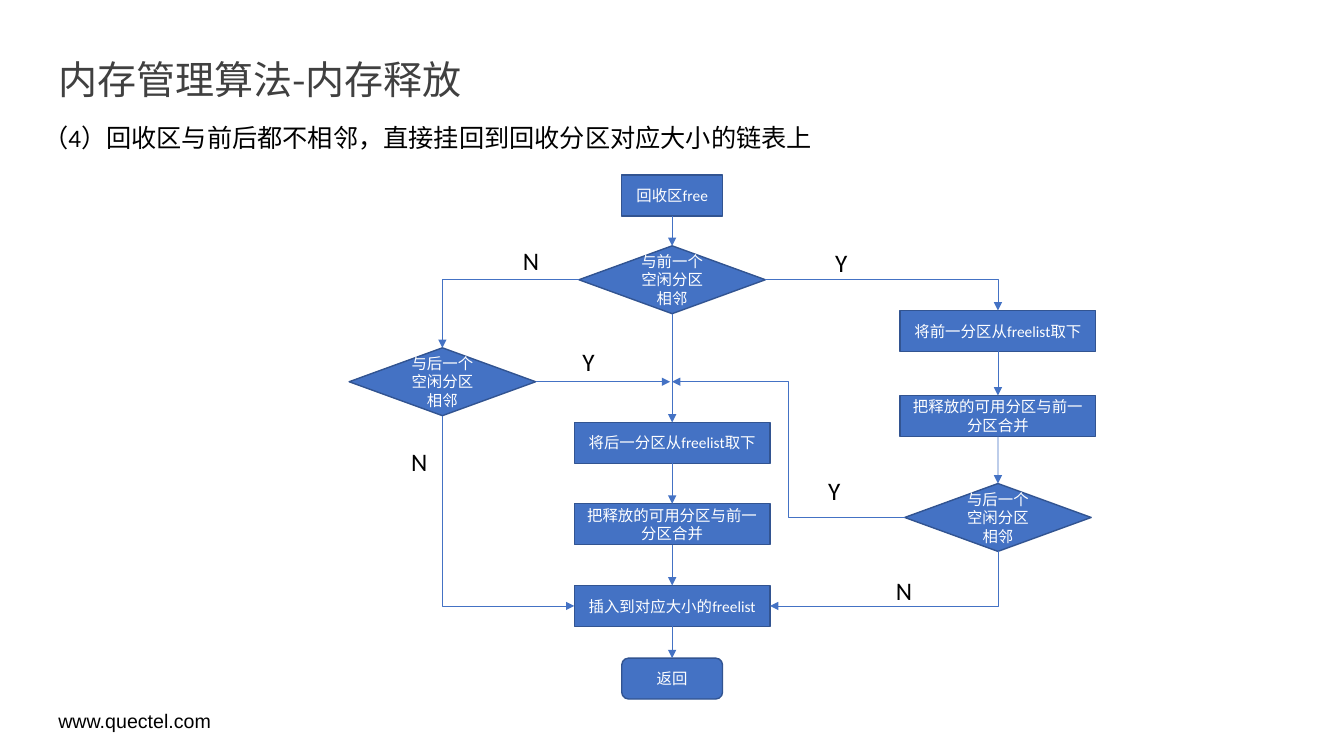
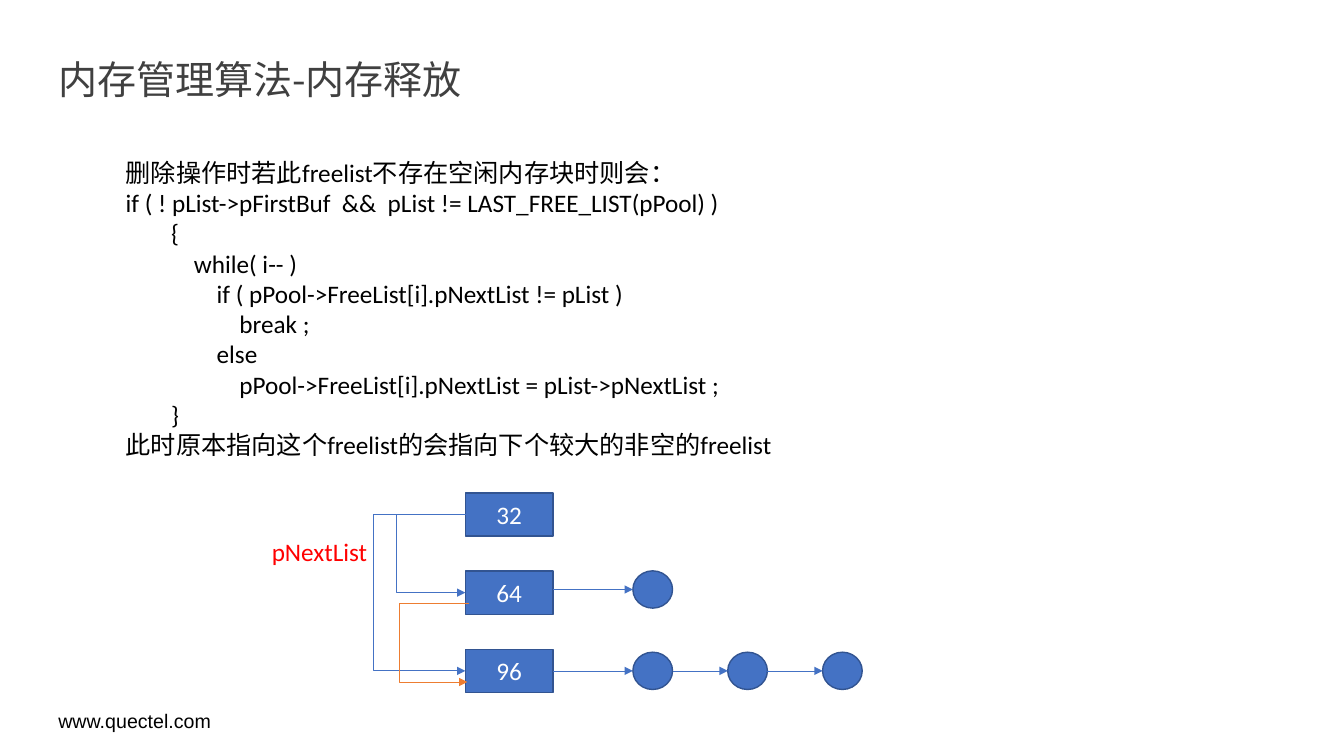
from collections import namedtuple
from dataclasses import dataclass

from lxml import etree
from pptx import Presentation
from pptx import util as u
from pptx.dml.color import RGBColor
from pptx.enum import shapes, text
from pptx.oxml.ns import qn

Cm, Pt = u.Cm, u.Pt
GEO, LINK = shapes.MSO_SHAPE, shapes.MSO_CONNECTOR
ANCHOR, ALIGN = text.MSO_ANCHOR, text.PP_ALIGN
TOP, LEFT, BOTTOM, RIGHT = range(4)  # connection sites of boxes and diamonds
Box = namedtuple("Box", "x y w h")  # centimetres


@dataclass(frozen=True)
class Theme:
    black: str = "000000"
    white: str = "FFFFFF"
    grey: str = "404040"
    red: str = "FF0000"
    blue: str = "4472C4"
    edge: str = "325491"
    orange: str = "ED7D31"
    body_font: str = "Calibri"
    title_font: str = "Noto Sans CJK SC"
    footer_font: str = "Arial"
    title: float = 27.9
    body: float = 18
    footer: float = 14
    small: float = 11
    outline: float = 1
    wire: float = 0.5


T = Theme()
TITLE = "内存管理算法-内存释放"
FOOTER = "www.quectel.com"
TITLE_BOX = Box(1.22, 1.4, 30.73, 1.24)
FOOTER_BOX = Box(1.22, 17.8, 30.73, 0.8)


# ---- basic parts ----
def place(box):
    return [Cm(v) for v in box]


def write(tf, lines, size=T.body, color=T.black, name=T.body_font, **para):
    """Fill a text frame, one paragraph for each line."""
    for i, line in enumerate(lines.split("\n")):
        p = tf.paragraphs[0] if i == 0 else tf.add_paragraph()
        for key, value in para.items():
            setattr(p, key, value)
        r = p.add_run()
        r.text = line
        for key, value in {"size": Pt(size), "name": name}.items():
            setattr(r.font, key, value)
        r.font.color.rgb = RGBColor.from_string(color)


def add_text(s, box, lines, wrap=True, **fmt):
    sp = s.shapes.add_textbox(*place(box))
    sp.text_frame.word_wrap = wrap
    write(sp.text_frame, lines, **fmt)
    return sp


def add_node(s, kind, box, label="", size=T.small):
    sp = s.shapes.add_shape(kind, *place(box))
    sp.shadow.inherit = False
    sp.fill.solid()
    sp.fill.fore_color.rgb = RGBColor.from_string(T.blue)
    sp.line.color.rgb = RGBColor.from_string(T.edge)
    sp.line.width = Pt(T.outline)
    if label:
        sp.text_frame.word_wrap = True
        sp.text_frame.vertical_anchor = ANCHOR.MIDDLE
        write(sp.text_frame, label, size, T.white, alignment=ALIGN.CENTER)
    return sp


def add_arrow(s, start, end, kind=LINK.STRAIGHT, color=T.blue, arrow="tailEnd"):
    """Arrow between two (x, y) points given as lengths."""
    cx = s.shapes.add_connector(kind, *start, *end)
    cx.line.color.rgb = RGBColor.from_string(color)
    cx.line.width = Pt(T.wire)
    pr = cx.element.spPr
    etree.SubElement(pr.find(qn("a:ln")), qn("a:" + arrow), type="triangle")
    etree.SubElement(pr, qn("a:effectLst"))
    return cx


def site(sp, side):
    """Point in the middle of one side of a shape."""
    mid_x, mid_y = sp.left + sp.width // 2, sp.top + sp.height // 2
    return {TOP: (mid_x, sp.top), LEFT: (sp.left, mid_y),
            BOTTOM: (mid_x, sp.top + sp.height),
            RIGHT: (sp.left + sp.width, mid_y)}[side]


def link(s, a, side_a, b, side_b, **fmt):
    cx = add_arrow(s, site(a, side_a), site(b, side_b), **fmt)
    cx.begin_connect(a, side_a)
    cx.end_connect(b, side_b)
    return cx


def corner(s, a, side_a, b, side_b, arrow="tailEnd"):
    """One-bend arrow that leaves a sideways and meets b vertically."""
    cx = link(s, a, side_a, b, side_b, kind=LINK.ELBOW, arrow=arrow)
    cx.element.spPr.find(qn("a:prstGeom")).set("prst", "bentConnector2")


def bracket(s, start, end, bend_x, **fmt):
    """Two-bend arrow whose vertical part stands at bend_x."""
    cx = add_arrow(s, start, end, LINK.ELBOW, **fmt)
    geom = cx.element.spPr.find(qn("a:prstGeom"))
    for old in geom.findall(qn("a:avLst")):
        geom.remove(old)
    ratio = round((start[0] - bend_x) / (start[0] - end[0]) * 100000)
    guides = etree.SubElement(geom, qn("a:avLst"))
    etree.SubElement(guides, qn("a:gd"), name="adj1", fmla=f"val {ratio}")


# ---- shared slide frame ----
def set_up_layout(prs, layout):
    """Title place and footer that all slides share."""
    title = layout.placeholders[0]
    for key, value in zip(("left", "top", "width", "height"), place(TITLE_BOX)):
        setattr(title, key, value)
    s = prs.slides.add_slide(layout)
    footer = add_text(s, FOOTER_BOX, FOOTER, size=T.footer,
                      name=T.footer_font, line_spacing=0.9)
    footer.text_frame.vertical_anchor = ANCHOR.MIDDLE
    layout.shapes.element.append(footer.element)
    return s


def add_title(s):
    tf = s.shapes.title.text_frame
    for key, value in {"vertical_anchor": ANCHOR.TOP, "word_wrap": True,
                       "auto_size": text.MSO_AUTO_SIZE.NONE}.items():
        setattr(tf, key, value)
    write(tf, TITLE, T.title, T.grey, T.title_font,
          alignment=ALIGN.LEFT, line_spacing=0.9)


# ---- flow chart of releasing memory ----
FLOW_SIZES = {"small": (GEO.RECTANGLE, 2.54, 1.03),
              "wide": (GEO.RECTANGLE, 4.93, 1.03),
              "test": (GEO.FLOWCHART_DECISION, 4.7, 1.71),
              "end": (GEO.ROUNDED_RECTANGLE, 2.54, 1.03)}
FLOW_COLUMNS = {"left": 2.36, "mid": 8.15, "right": 16.36}
FLOW_NODES = {  # name: size, column, centre height, label
    "free": ("small", "mid", 0.51, "回收区free"),
    "prev?": ("test", "mid", 2.63, "与前一个空闲分区相邻"),
    "next?": ("test", "left", 5.2, "与后一个空闲分区相邻"),
    "take next": ("wide", "mid", 6.74, "将后一分区从freelist取下"),
    "merge next": ("wide", "mid", 8.79, "把释放的可用分区与前一分区合并"),
    "insert": ("wide", "mid", 10.85, "插入到对应大小的freelist"),
    "return": ("end", "mid", 12.68, "返回"),
    "take prev": ("wide", "right", 3.92, "将前一分区从freelist取下"),
    "merge prev": ("wide", "right", 6.06, "把释放的可用分区与前一分区合并"),
    "both?": ("test", "right", 8.62, "与后一个空闲分区相邻"),
}
FLOW_CHAINS = (("free", "prev?", "take next", "merge next", "insert", "return"),
               ("take prev", "merge prev", "both?"))
FLOW_ANSWERS = (("Y", 12.01, 1.68), ("N", 4.14, 1.63), ("N", 1.32, 6.71),
                ("Y", 5.64, 4.17), ("Y", 11.83, 7.44), ("N", 13.54, 9.96))


def flow_chart(s, box):
    n = {}
    for name, (size, column, mid_y, label) in FLOW_NODES.items():
        kind, w, h = FLOW_SIZES[size]
        x = box.x + FLOW_COLUMNS[column] - w / 2
        n[name] = add_node(s, kind, Box(x, box.y + mid_y - h / 2, w, h), label)

    # Straight steps
    for chain in FLOW_CHAINS:
        for a, b in zip(chain, chain[1:]):
            link(s, n[a], BOTTOM, n[b], TOP)

    # Branches
    corner(s, n["prev?"], RIGHT, n["take prev"], TOP)
    corner(s, n["prev?"], LEFT, n["next?"], TOP)
    corner(s, n["insert"], LEFT, n["next?"], BOTTOM, "headEnd")
    corner(s, n["insert"], RIGHT, n["both?"], BOTTOM, "headEnd")

    # Both "yes" branches join the middle column
    join_x, join_y = site(n["prev?"], TOP)[0], site(n["next?"], RIGHT)[1]
    for name, side, kind, gap in (("next?", RIGHT, LINK.STRAIGHT, Cm(0.05)),
                                  ("both?", LEFT, LINK.ELBOW, 0)):
        cx = add_arrow(s, site(n[name], side), (join_x - gap, join_y), kind)
        cx.begin_connect(n[name], side)

    for answer, x, y in FLOW_ANSWERS:
        add_text(s, Box(box.x + x, box.y + y, 1.12, 1.03), answer)


# ---- free lists and their pointers ----
def free_lists(s, box):
    w, h, pitch, list_x = 2.21, 1.09, 1.97, 5.13
    node_w, node_h, node_x, step = 1.0, 0.94, 9.35, 2.39
    rows = (("32", 0, 0), ("64", 1, -0.08), ("96", 3, 0))

    # Lists, each followed by its chain of free blocks
    for i, (label, blocks, shift) in enumerate(rows):
        top = box.y + i * pitch
        add_node(s, GEO.RECTANGLE, Box(box.x + list_x, top, w, h), label, T.body)
        mid = top + h / 2 + shift
        tail = box.x + list_x + w
        for k in range(blocks):
            x = box.x + node_x + k * step
            add_node(s, GEO.OVAL, Box(x, mid - node_h / 2, node_w, node_h))
            add_arrow(s, (Cm(tail), Cm(mid)), (Cm(x), Cm(mid)))
            tail = x + node_w

    # Pointers: start row, end row, x of the bend, shift right, shift down, colour
    for a, b, bend, dx, dy, color in ((0, 1, 3.4, 0, 0, T.blue),
                                      (0, 2, 2.82, 0, 0, T.blue),
                                      (1, 2, 3.46, 0.05, 0.28, T.orange)):
        x = box.x + list_x + dx
        y0, y1 = (box.y + i * pitch + h / 2 + dy for i in (a, b))
        bracket(s, (Cm(x + 0.03), Cm(y0)), (Cm(x), Cm(y1)),
                Cm(box.x + bend), color=color)
    add_text(s, Box(box.x, box.y + 0.97, 2.95, 1.03), "pNextList",
             wrap=False, color=T.red)


CODE = """删除操作时若此freelist不存在空闲内存块时则会：
if ( ! pList->pFirstBuf  &&  pList != LAST_FREE_LIST(pPool) )
        {
            while( i-- )
                if ( pPool->FreeList[i].pNextList != pList )
                    break ;
                else
                    pPool->FreeList[i].pNextList = pList->pNextList ;
        }
此时原本指向这个freelist的会指向下个较大的非空的freelist"""


# ---- slides ----
def flow_slide(s):
    add_title(s)
    add_text(s, Box(0.84, 2.95, 30.12, 1.03),
             "（4）回收区与前后都不相邻，直接挂回到回收分区对应大小的链表上")
    flow_chart(s, Box(8.79, 4.42, 18.84, 13.35))


def code_slide(s):
    add_title(s)
    add_text(s, Box(2.92, 3.84, 26.04, 7.95), CODE)
    free_lists(s, Box(6.6, 12.42, 15.2, 5.03))


def main():
    prs = Presentation()
    prs.slide_width, prs.slide_height = Cm(33.87), Cm(19.05)
    layout = prs.slide_layouts[5]
    flow_slide(set_up_layout(prs, layout))
    code_slide(prs.slides.add_slide(layout))
    prs.save("out.pptx")


if __name__ == "__main__":
    main()
